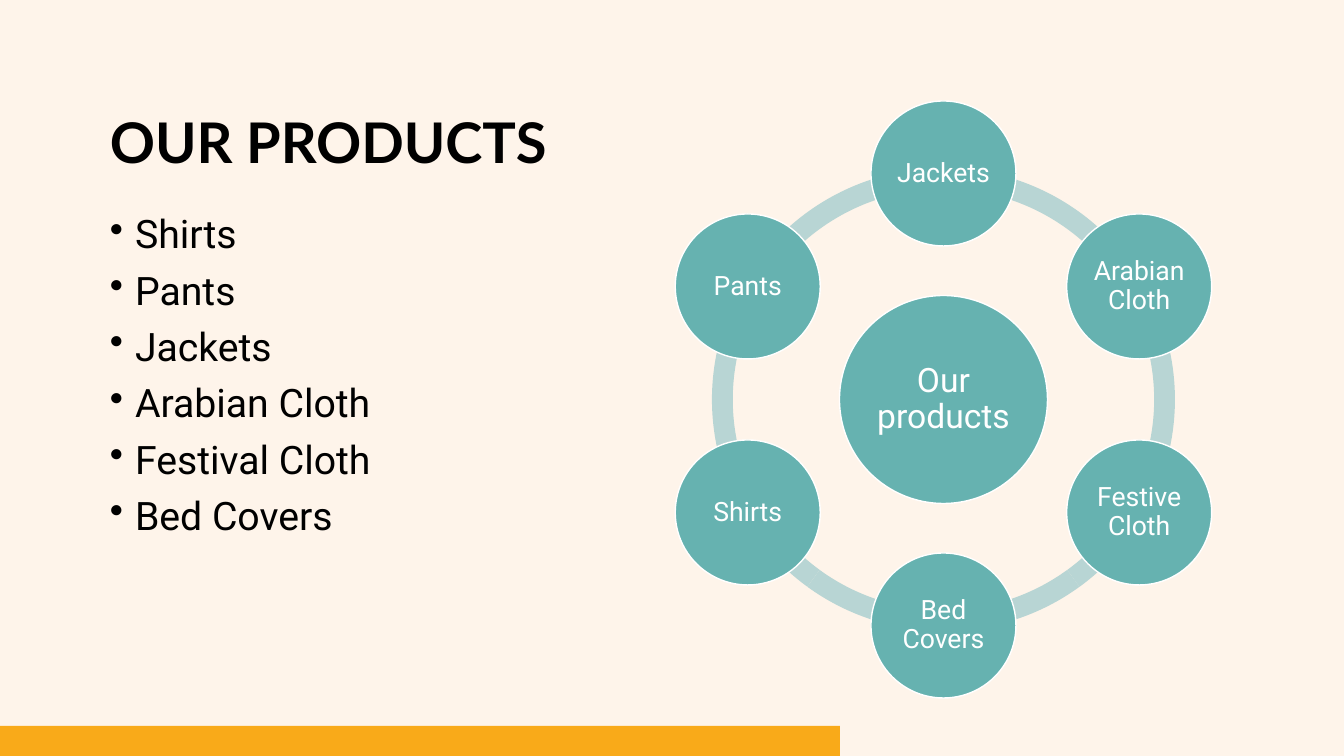
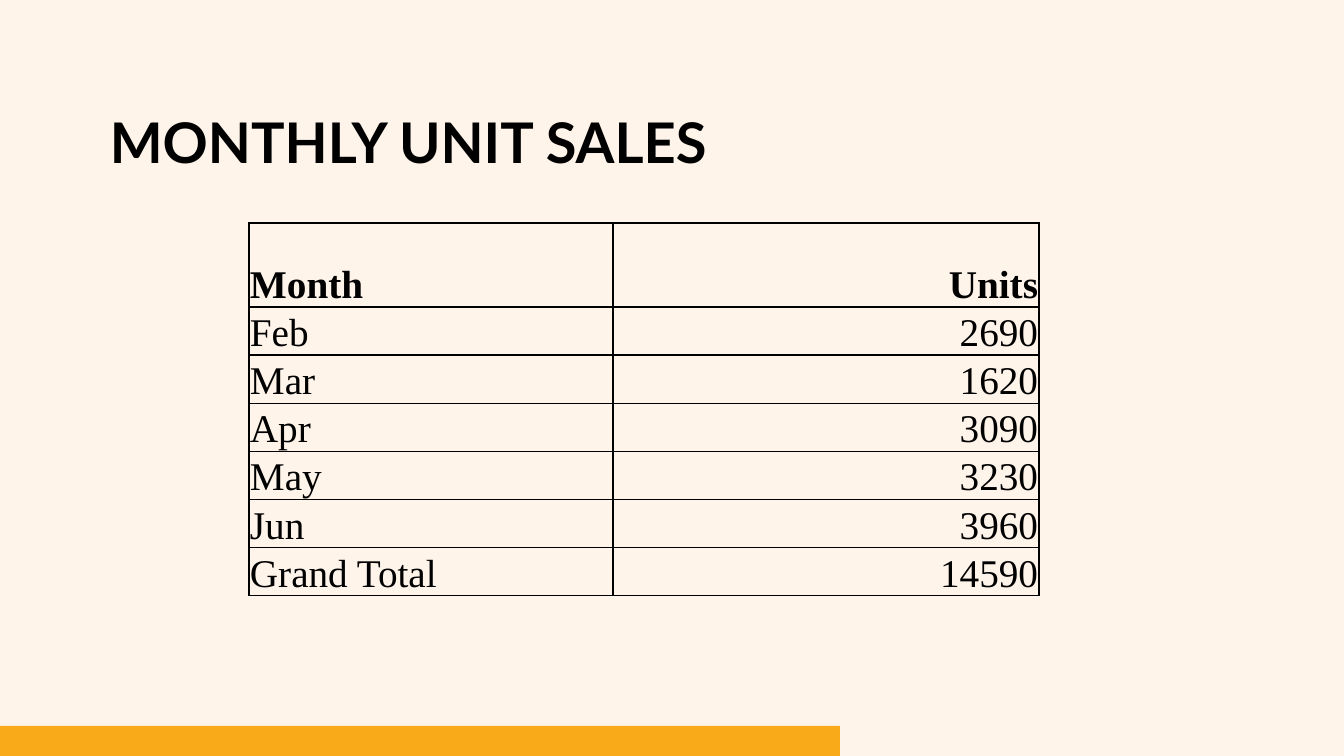
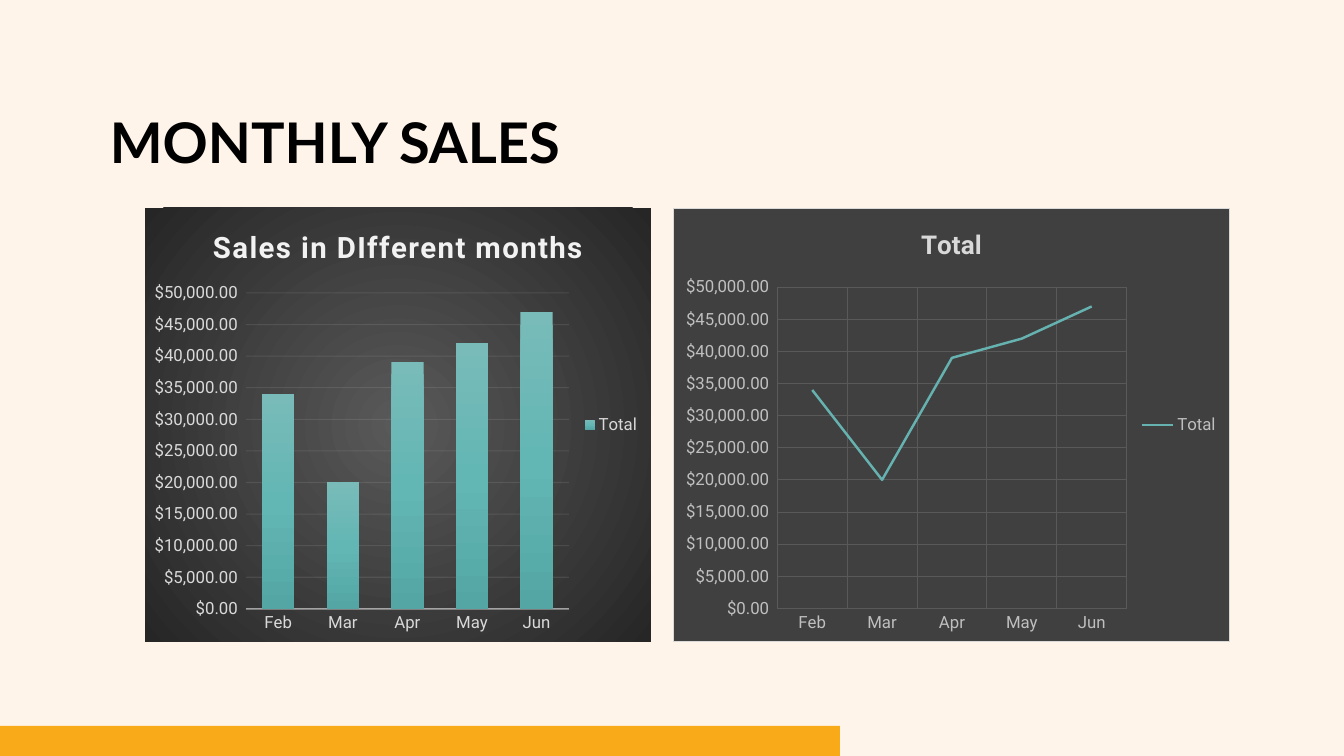
from dataclasses import dataclass
from itertools import pairwise
from math import cos, radians, sin
from typing import NamedTuple

from pptx import Presentation, oxml
from pptx import util as u
from pptx.chart import data
from pptx.dml.color import RGBColor
from pptx.enum import chart as charts, shapes, text
from pptx.oxml import ns

PX = 914400 / 100.8


@dataclass(frozen=True)
class Theme:
    paper: str = "FEF4EA"
    band: str = "F9AA19"
    ink: str = "000000"
    white: str = "FFFFFF"
    teal: str = "66B2B0"
    ring: str = "B8D5D4"
    panel: str = "404040"
    panel_grid: str = "595959"
    pale: str = "F2F2F2"
    light: str = "D9D9D9"
    muted: str = "BFBFBF"
    panel_glow: tuple = ((0, "595959"), (100, "262626"))
    bar_fade: tuple = ((0, "79BBB9"), (50, "62B6B4"), (100, "53A6A4"))
    heading: str = "Lato"
    body: str = "Roboto"
    table: str = "Times New Roman"
    title_size: float = 40
    body_size: float = 28
    hub_size: float = 24
    node_size: float = 19
    chart_title_size: float = 21
    panel_title_size: float = 18.6
    chart_base_size: float = 10
    axis_size: float = 12


THEME = Theme()


class Box(NamedTuple):
    left: int
    top: int
    width: int
    height: int

    def emu(self):
        return [px(value) for value in self]


TITLE = Box(100, 46, 646, 135)
BAND = Box(0, 726, 840, 30)
MONTHS = ("Feb", "Mar", "Apr", "May", "Jun")
SALES = (34000, 20000, 39000, 42000, 47000)
MONEY = '"$"#,##0.00_);[Red]\\("$"#,##0.00\\)'


def px(value):
    return u.Emu(round(value * PX))


def centred(x, y, size):
    return Box(x - size / 2, y - size / 2, size, size)


def rgb(value):
    return RGBColor.from_string(value)


def xml(markup):
    tag, rest = markup.split(" ", 1) if " " in markup.split(">", 1)[0] else markup.split(">", 1)
    joint = " " if " " in markup.split(">", 1)[0] else ">"
    return oxml.parse_xml(f"{tag} {ns.nsdecls('a', 'c')}{joint}{rest}")


def set_font(font, name, size, color, bold=False):
    font.name = name
    font.size = u.Pt(size)
    font.bold = bold
    font.color.rgb = rgb(color)


def set_margins(holder, left, top, right, bottom):
    holder.margin_left, holder.margin_top = px(left), px(top)
    holder.margin_right, holder.margin_bottom = px(right), px(bottom)


def set_line(line, color, points):
    line.color.rgb = rgb(color)
    line.width = u.Pt(points)


def add_solid(page, kind, box, fill):
    shape = page.shapes.add_shape(kind, *box.emu())
    shape.shadow.inherit = False
    shape.fill.solid()
    shape.fill.fore_color.rgb = rgb(fill)
    shape.line.fill.background()
    return shape


def add_page(deck, title):
    page = deck.slides.add_slide(deck.slide_layouts[6])
    add_solid(page, shapes.MSO_SHAPE.RECTANGLE, BAND, THEME.band)
    frame = page.shapes.add_textbox(*TITLE.emu()).text_frame
    frame.word_wrap = True
    frame.vertical_anchor = text.MSO_ANCHOR.BOTTOM
    para = frame.paragraphs[0]
    para.text = title
    para.line_spacing = 0.9
    set_font(para.font, THEME.heading, THEME.title_size, THEME.ink, True)
    return page


def add_bullets(page, box, items):
    frame = page.shapes.add_textbox(*box.emu()).text_frame
    frame.word_wrap = True
    for index, item in enumerate(items):
        para = frame.add_paragraph() if index else frame.paragraphs[0]
        para.text = item
        props = para._p.get_or_add_pPr()
        props.set("marL", "228600")
        props.set("indent", "-228600")
        props.append(xml('<a:buChar char="•"/>'))
        para.line_spacing = 0.9
        if index:
            para.space_before = u.Pt(10)
        set_font(para.font, THEME.body, THEME.body_size, THEME.ink)


def add_circle(page, box, label, size):
    circle = add_solid(page, shapes.MSO_SHAPE.OVAL, box, THEME.teal)
    set_line(circle.line, THEME.white, 1)
    frame = circle.text_frame
    frame.word_wrap = True
    frame.vertical_anchor = text.MSO_ANCHOR.MIDDLE
    set_margins(frame, 3, 3, 3, 3)
    para = frame.paragraphs[0]
    para.text = label
    para.alignment = text.PP_ALIGN.CENTER
    para.line_spacing = 0.9
    set_font(para.font, THEME.body, size, THEME.white)


def add_cycle(page, box, hub, nodes):
    center_x, center_y = box.left + box.width / 2, box.top + box.height / 2
    node_size, hub_size, ring_size = 145, 208, 463
    orbit = (box.height - node_size) / 2
    for start, end in pairwise((18, 54, 90, 126, 162, 198, 378)):
        arc = add_solid(page, shapes.MSO_SHAPE.BLOCK_ARC,
                        centred(center_x, center_y, ring_size), THEME.ring)
        for index, value in enumerate((start * 0.6, end % 360 * 0.6, 0.045)):
            arc.adjustments[index] = value
    add_circle(page, centred(center_x, center_y, hub_size), hub, THEME.hub_size)
    for index, label in enumerate(nodes):
        angle = radians(360 * index / len(nodes) - 90)
        spot = centred(center_x + orbit * cos(angle), center_y + orbit * sin(angle), node_size)
        add_circle(page, spot, label, THEME.node_size)


def add_borders(cell):
    props = cell._tc.get_or_add_tcPr()
    for index, side in enumerate("LRTB"):
        props.insert(index, xml(
            f'<a:ln{side} w="12700"><a:solidFill><a:srgbClr val="{THEME.ink}"/>'
            f'</a:solidFill></a:ln{side}>'))


def add_units_table(page, box, rows):
    head_height, first_width = 84, 364
    table = page.shapes.add_table(len(rows), 2, *box.emu()).table
    table.first_row = table.horz_banding = False
    table.columns[0].width = px(first_width)
    table.columns[1].width = px(box.width - first_width)
    for row_index, values in enumerate(rows):
        body_height = (box.height - head_height) / (len(rows) - 1)
        table.rows[row_index].height = px(body_height if row_index else head_height)
        for column, value in enumerate(values):
            cell = table.cell(row_index, column)
            cell.fill.background()
            add_borders(cell)
            set_margins(cell, 1, 1, 1, 0)
            cell.vertical_anchor = text.MSO_ANCHOR.BOTTOM
            para = cell.text_frame.paragraphs[0]
            para.text = value
            para.alignment = text.PP_ALIGN.RIGHT if column else text.PP_ALIGN.LEFT
            set_font(para.font, THEME.table, THEME.body_size, THEME.ink, row_index == 0)


def gradient(stops, direction):
    marks = "".join(f'<a:gs pos="{at * 1000}"><a:srgbClr val="{color}"/></a:gs>'
                    for at, color in stops)
    return f"<a:gradFill><a:gsLst>{marks}</a:gsLst>{direction}</a:gradFill>"


def solid(color):
    return f'<a:solidFill><a:srgbClr val="{color}"/></a:solidFill>'


def fade(chart, query, percent):
    for paint in chart.element.xpath(f"{query}//a:srgbClr"):
        paint.append(xml(f'<a:alpha val="{percent * 1000}"/>'))


def set_panel(chart, fill, outline):
    chart.element.find(ns.qn("c:txPr")).addprevious(
        xml(f"<c:spPr>{fill}<a:ln w=\"9525\">{outline}</a:ln></c:spPr>"))


def set_plot_area(chart, box, plot):
    area = chart.element.xpath("c:chart/c:plotArea")[0]
    for layout in area.findall(ns.qn("c:layout")):
        area.remove(layout)
    places = {"x": plot.left / box.width, "y": plot.top / box.height,
              "w": plot.width / box.width, "h": plot.height / box.height}
    sizes = "".join(f'<c:{key} val="{value:.4f}"/>' for key, value in places.items())
    area.insert(0, xml('<c:layout><c:manualLayout><c:layoutTarget val="inner"/>'
                       '<c:xMode val="edge"/><c:yMode val="edge"/>'
                       f"{sizes}</c:manualLayout></c:layout>"))
    area.append(xml("<c:spPr><a:noFill/><a:ln><a:noFill/></a:ln></c:spPr>"))


def add_sales_chart(page, box, plot, kind, title, title_style, label_color):
    sales = data.CategoryChartData(number_format=MONEY)
    sales.categories = MONTHS
    sales.add_series("Total", SALES)
    chart = page.shapes.add_chart(kind, *box.emu(), sales).chart
    set_font(chart.font, THEME.body, THEME.chart_base_size, THEME.ink)
    chart.has_title = True
    chart.chart_title.include_in_layout = False
    para = chart.chart_title.text_frame.paragraphs[0]
    para.text = title
    set_font(para.font, THEME.body, *title_style, True)
    chart.has_legend = True
    chart.legend.position = charts.XL_LEGEND_POSITION.RIGHT
    chart.legend.include_in_layout = False
    set_font(chart.legend.font, THEME.body, THEME.axis_size, label_color)
    for axis in (chart.category_axis, chart.value_axis):
        axis.major_tick_mark = axis.minor_tick_mark = charts.XL_TICK_MARK.NONE
        axis.format.line.fill.background()
        set_font(axis.tick_labels.font, THEME.body, THEME.axis_size, label_color)
    scale = chart.value_axis
    scale.minimum_scale, scale.maximum_scale, scale.major_unit = 0, 50000, 5000
    scale.tick_labels.number_format = MONEY
    scale.tick_labels.number_format_is_linked = False
    chart.plots[0].vary_by_categories = False
    set_plot_area(chart, box, plot)
    return chart


def add_column_panel(page, box):
    chart = add_sales_chart(
        page, box, Box(101, 85, 323, 316), charts.XL_CHART_TYPE.COLUMN_CLUSTERED,
        "Sales in DIfferent months", (THEME.chart_title_size, THEME.pale), THEME.light)
    chart.element.xpath("c:chart/c:title//a:defRPr")[0].set("spc", "100")
    columns = chart.plots[0]
    columns.gap_width, columns.overlap = 100, -24
    columns.series[0].format.fill.background()
    blank = chart.element.xpath("//c:ser/c:spPr/a:noFill")[0]
    blank.getparent().replace(
        blank, xml(gradient(THEME.bar_fade, '<a:lin ang="5400000" scaled="0"/>')))
    set_line(chart.category_axis.format.line, THEME.pale, 1)
    set_line(chart.value_axis.major_gridlines.format.line, THEME.pale, 0.75)
    fade(chart, "//c:catAx/c:spPr", 54)
    fade(chart, "//c:valAx/c:majorGridlines", 10)
    glow = ('<a:path path="circle"><a:fillToRect l="50000" t="50000" r="50000" b="50000"/>'
            "</a:path>")
    set_panel(chart, gradient(THEME.panel_glow, glow), "<a:noFill/>")


def add_line_panel(page, box):
    chart = add_sales_chart(
        page, box, Box(104, 79, 350, 322), charts.XL_CHART_TYPE.LINE_STACKED,
        "Total", (THEME.panel_title_size, THEME.light), THEME.muted)
    series = chart.plots[0].series[0]
    series.smooth = False
    set_line(series.format.line, THEME.teal, 1.75)
    for axis in (chart.category_axis, chart.value_axis):
        axis.has_major_gridlines = True
        set_line(axis.major_gridlines.format.line, THEME.panel_grid, 0.75)
    set_panel(chart, solid(THEME.panel), solid(THEME.light))


def build_products(deck):
    page = add_page(deck, "OUR PRODUCTS")
    add_cycle(page, Box(675, 101, 537, 597), "Our products",
              ("Jackets", "Arabian Cloth", "Festive Cloth", "Bed Covers", "Shirts", "Pants"))
    add_bullets(page, Box(100, 210, 646, 260),
                ("Shirts", "Pants", "Jackets", "Arabian Cloth", "Festival Cloth", "Bed Covers"))


def build_units(deck):
    page = add_page(deck, "MONTHLY UNIT SALES")
    units = ("2690", "1620", "3090", "3230", "3960")
    add_units_table(page, Box(249, 223, 790, 361),
                    (("Month", "Units"), *zip(MONTHS, units), ("Grand Total", "14590")))


def build_sales(deck):
    page = add_page(deck, "MONTHLY SALES")
    add_column_panel(page, Box(145, 208, 506, 434))
    add_line_panel(page, Box(673, 208, 557, 434))


def main():
    deck = Presentation()
    deck.slide_width, deck.slide_height = px(1344), px(756)
    backdrop = deck.slide_master.background.fill
    backdrop.solid()
    backdrop.fore_color.rgb = rgb(THEME.paper)
    for build in (build_products, build_units, build_sales):
        build(deck)
    deck.save("out.pptx")


if __name__ == "__main__":
    main()
